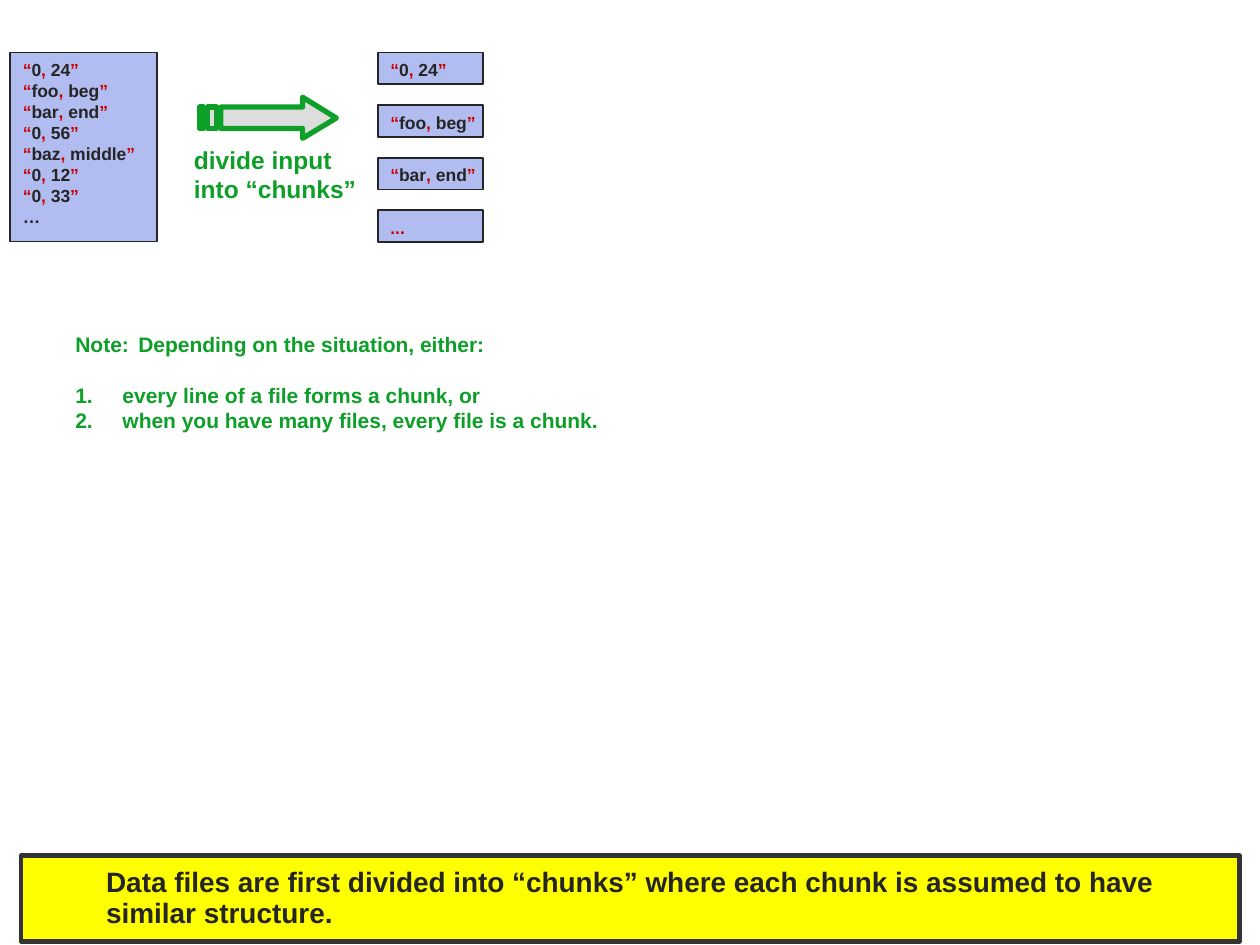
from itertools import groupby

from lxml import etree
from pptx import Presentation
from pptx.dml.color import RGBColor
from pptx.enum.shapes import MSO_SHAPE
from pptx.enum.text import MSO_ANCHOR, MSO_AUTO_SIZE, PP_ALIGN
from pptx.oxml.ns import qn
from pptx.util import Cm, Pt

RECT = MSO_SHAPE.RECTANGLE
TOP, BOTTOM = MSO_ANCHOR.TOP, MSO_ANCHOR.BOTTOM
LEFT = PP_ALIGN.LEFT
GROW = MSO_AUTO_SIZE.SHAPE_TO_FIT_TEXT

DARK, RED, GREEN = "252525", "CC0000", "0E9F28"
BLUE, YELLOW, GREY, EDGE = "B1BDF0", "FFFF00", "DDDDDD", "333333"
MARKS = "“”,."


def color(code):
    """Turn a hex string into a colour."""
    return RGBColor.from_string(code)


def split(line):
    """Part a record into red marks and dark words."""
    return [("".join(part), RED if mark else DARK)
            for mark, part in groupby(line, lambda char: char in MARKS)]


def add_child(node, tag, **attrs):
    """Append a drawing element with its attributes."""
    return etree.SubElement(node, qn(tag), attrs)


class Deck:
    """Hold the style and the current slide."""

    def __init__(self, font):
        """Start a presentation with one blank slide."""
        self.font = font
        self.file = Presentation()
        self.file.slide_width, self.file.slide_height = Cm(25.4), Cm(19.05)
        self.slide = self.file.slides.add_slide(self.file.slide_layouts[6])

    def put(self, frame, text, size=10, ink=DARK, first=False, before=0,
            spacing=None, margin=0, hang=0, tab=None, number=False):
        """Add a paragraph given as a string or as coloured parts."""
        para = frame.paragraphs[0] if first else frame.add_paragraph()
        para.alignment = LEFT
        if before:
            para.space_before = Pt(before)
        if spacing:
            para.line_spacing = spacing
        props = para._p.get_or_add_pPr()
        props.set("marL", str(Cm(margin)))
        props.set("indent", str(Cm(-hang)))
        if number:
            tint = add_child(props, "a:buClr")
            add_child(tint, "a:srgbClr", val=ink)
            add_child(props, "a:buFont", typeface=self.font)
            add_child(props, "a:buAutoNum", type="arabicPeriod")
        if tab:
            stops = add_child(props, "a:tabLst")
            add_child(stops, "a:tab", pos=str(Cm(tab)), algn="l")
        for part, tone in [(text, ink)] if isinstance(text, str) else text:
            run = para.add_run()
            run.text = part
            run.font.name, run.font.size = self.font, Pt(size)
            run.font.bold = True
            run.font.color.rgb = color(tone)

    def paint(self, shape, fill, line, width):
        """Set the fill and outline of a shape."""
        shape.shadow.inherit = False
        shape.fill.solid()
        shape.fill.fore_color.rgb = color(fill)
        shape.line.color.rgb = color(line)
        shape.line.width = Pt(width)

    def setup(self, frame, wrap, anchor=TOP, pad=(0.25, 0.13)):
        """Set wrapping, anchor and insets of a text frame."""
        frame.word_wrap = wrap
        frame.vertical_anchor = anchor
        frame.margin_left = frame.margin_right = Cm(pad[0])
        frame.margin_top = frame.margin_bottom = Cm(pad[1])
        return frame

    def box(self, *place, fill=BLUE, line=DARK, width=1, **layout):
        """Add a rectangle and return its text frame."""
        shape = self.slide.shapes.add_shape(RECT, *map(Cm, place))
        self.paint(shape, fill, line, width)
        return self.setup(shape.text_frame, **layout)

    def label(self, *place, wrap):
        """Add a text box and return its text frame."""
        shape = self.slide.shapes.add_textbox(*map(Cm, place))
        frame = self.setup(shape.text_frame, wrap)
        frame.auto_size = GROW
        return frame

    def records(self, frame, lines):
        """Fill a frame with records that have coloured marks."""
        for i, line in enumerate(lines):
            self.put(frame, split(line), first=i == 0)

    def outline(self, rings, fill, line, width):
        """Add one freeform made of closed rings."""
        pen = None
        for ring in rings:
            points = [(Cm(x), Cm(y)) for x, y in ring]
            if pen is None:
                pen = self.slide.shapes.build_freeform(*points[0], scale=1.0)
            else:
                pen.move_to(*points[0])
            pen.add_line_segments(points[1:], close=True)
        self.paint(pen.convert_to_shape(), fill, line, width)


def stripe(left, right, top, low):
    """Give the corners of an arrow stripe."""
    return [(left, top), (right, top), (right, low), (left, low)]


def main():
    """Build the slide on dividing input into chunks."""
    deck = Deck("Arial")
    lines = ["“0, 24”", "“foo, beg”", "“bar, end”", "“0, 56”",
             "“baz, middle”", "“0, 12”", "“0, 33”", "…"]
    deck.records(deck.box(0.21, 1.06, 2.96, 3.81, wrap=False), lines)

    claim = deck.box(0.43, 17.25, 24.56, 1.73, fill=YELLOW, line=EDGE,
                     width=2.5, wrap=True, anchor=BOTTOM, pad=(0.76, 0.25))
    deck.put(claim, "Data files are first divided into “chunks” where each "
             "chunk is assumed to have similar structure.",
             size=16, first=True, spacing=0.9, margin=0.95)

    top, low = 2.16, 2.59
    head = [(4.45, top), (6.1, top), (6.1, 1.96), (6.78, 2.38),
            (6.1, 2.79), (6.1, low), (4.45, low)]
    deck.outline([head, stripe(4.02, 4.11, top, low),
                  stripe(4.19, 4.37, top, low)], GREY, GREEN, 3)

    step = deck.label(3.66, 2.79, 3.78, 1.45, wrap=False)
    deck.put(step, "divide input", size=14, ink=GREEN, first=True)
    deck.put(step, "into “chunks”", size=14, ink=GREEN)

    for i, chunk in enumerate(lines[:3] + ["..."]):
        frame = deck.box(7.62, 1.06 * (i + 1), 2.12, 0.64, wrap=False)
        deck.records(frame, [chunk])

    note = deck.label(1.27, 6.56, 12.27, 2.79, wrap=True)
    style = {"size": 12, "ink": GREEN}
    item = {"margin": 0.95, "hang": 0.95, "number": True, **style}
    deck.put(note, "Note:\tDepending on the situation, either:",
             first=True, tab=1.43, **style)
    deck.put(note, "every line of a file forms a chunk, or",
             before=14.4, **item)
    deck.put(note, "when you have many files, every file is a chunk.",
             **item)
    deck.file.save("out.pptx")


if __name__ == "__main__":
    main()
